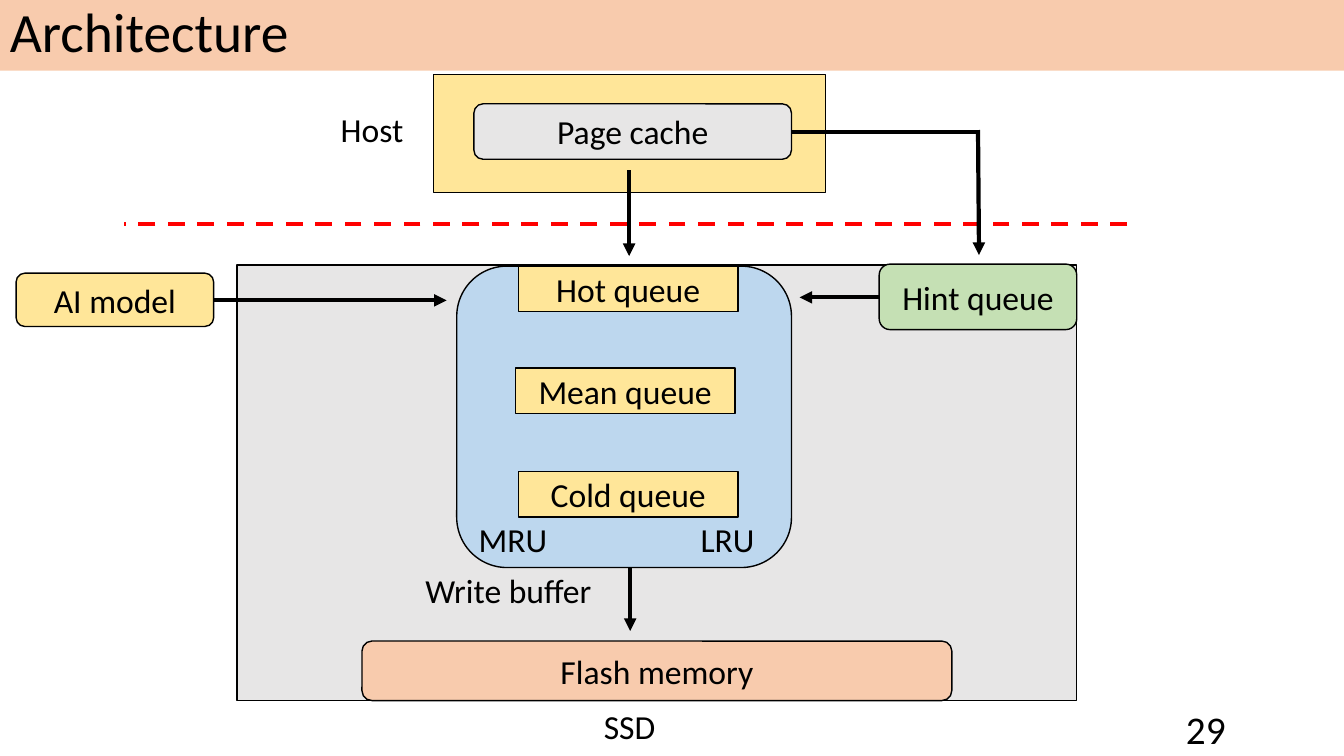
from pptx import Presentation
from pptx.dml.color import RGBColor as RGB
from pptx.enum.dml import MSO_LINE as Dash
from pptx.enum.shapes import MSO_CONNECTOR as Link, MSO_SHAPE as Form
from pptx.enum.text import MSO_ANCHOR as Anchor, PP_ALIGN as Align
from pptx.oxml.ns import qn
from pptx.util import Inches, Pt
from lxml.etree import SubElement as Sub

COLORS = {
    "black": "000000", "red": "FF0000", "gray": "E7E6E6", "peach": "F8CBAD",
    "yellow": "FFE699", "green": "C5E0B4", "blue": "BDD7EE",
}


def color(name):
    return RGB.from_string(COLORS[name])


class Canvas:
    font = "Calibri"
    size = 24

    def __init__(self, slide):
        self.shapes = slide.shapes

    def fill_in(self, shape, text, align, anchor, size=None):
        frame = shape.text_frame
        frame.word_wrap = True
        frame.vertical_anchor = anchor
        para = frame.paragraphs[0]
        para.alignment = align
        run = para.add_run()
        run.text = text
        style = {"name": self.font, "size": Pt(size or self.size)}
        for key, value in style.items():
            setattr(run.font, key, value)
        run.font.color.rgb = color("black")
        return para

    def box(self, area, fill, text="", form=Form.RECTANGLE):
        shape = self.shapes.add_shape(form, *map(Inches, area))
        shape.shadow.inherit = False
        shape.fill.solid()
        shape.fill.fore_color.rgb = color(fill)
        shape.line.color.rgb = color("black")
        shape.line.width = Pt(1)
        if text:
            self.fill_in(shape, text, Align.CENTER, Anchor.MIDDLE)
        return shape

    def pill(self, area, fill, text=""):
        return self.box(area, fill, text, Form.ROUNDED_RECTANGLE)

    def title(self, area, fill, text):
        shape = self.box(area, fill)
        shape.line.fill.background()
        para = self.fill_in(shape, text, Align.LEFT, Anchor.MIDDLE, 39.6)
        para.line_spacing = 0.9

    def label(self, area, text, align=Align.LEFT, size=None):
        shape = self.shapes.add_textbox(*map(Inches, area))
        self.fill_in(shape, text, align, Anchor.TOP, size)

    def line(self, start, end, tone="black", dash=None, arrow=True):
        link = self.shapes.add_connector(
            Link.STRAIGHT, *map(Inches, start + end))
        link.line.color.rgb = color(tone)
        link.line.width = Pt(3)
        if dash:
            link.line.dash_style = dash
        if arrow:
            Sub(link.line._get_or_add_ln(), qn("a:tailEnd"), type="triangle")
        Sub(link._element.spPr, qn("a:effectLst"))


def main():
    deck = Presentation()
    deck.slide_width, deck.slide_height = Inches(13.33), Inches(7.5)
    page = Canvas(deck.slides.add_slide(deck.slide_layouts[6]))

    page.title((0, -0.01, 13.33, 0.71), "peach", "Architecture")

    page.box((4.3, 0.74, 3.89, 1.17), "yellow")
    page.pill((4.7, 1.03, 3.15, 0.55), "gray", "Page cache")
    page.line((11.18, 2.22), (1.23, 2.22), "red", Dash.DASH, False)

    page.box((2.35, 2.63, 8.33, 4.32), "gray")
    page.pill((8.72, 2.62, 1.96, 0.65), "green", "Hint queue")
    page.pill((4.53, 2.64, 3.32, 2.99), "blue")
    page.pill((0.16, 2.71, 1.96, 0.53), "yellow", "AI model")
    page.pill((3.59, 6.36, 5.85, 0.59), "peach", "Flash memory")

    page.line((7.85, 1.31), (9.7, 1.31), arrow=False)
    for start, end in (
        ((2.12, 2.98), (4.43, 2.98)),
        ((6.24, 1.69), (6.24, 2.54)),
        ((9.7, 1.29), (9.71, 2.53)),
        ((8.72, 2.95), (7.93, 2.95)),
        ((6.25, 5.64), (6.25, 6.26)),
    ):
        page.line(start, end)

    for name, left, top in (
        ("Hot", 5.14, 2.64), ("Mean", 5.11, 3.65), ("Cold", 5.14, 4.68),
    ):
        page.box((left, top, 2.18, 0.45), "yellow", f"{name} queue")

    for text, left, top, width in (
        ("Host", 3.28, 1.03, 0.92),
        ("SSD", 5.89, 6.95, 0.92),
        ("MRU", 4.65, 5.1, 0.97),
        ("LRU", 6.85, 5.1, 0.86),
        ("Write buffer", 4.12, 5.6, 2.02),
    ):
        page.label((left, top, width, 0.5), text)
    page.label((10.68, 6.95, 2.56, 0.4), "29", Align.CENTER, 28)

    deck.save("out.pptx")


if __name__ == "__main__":
    main()
